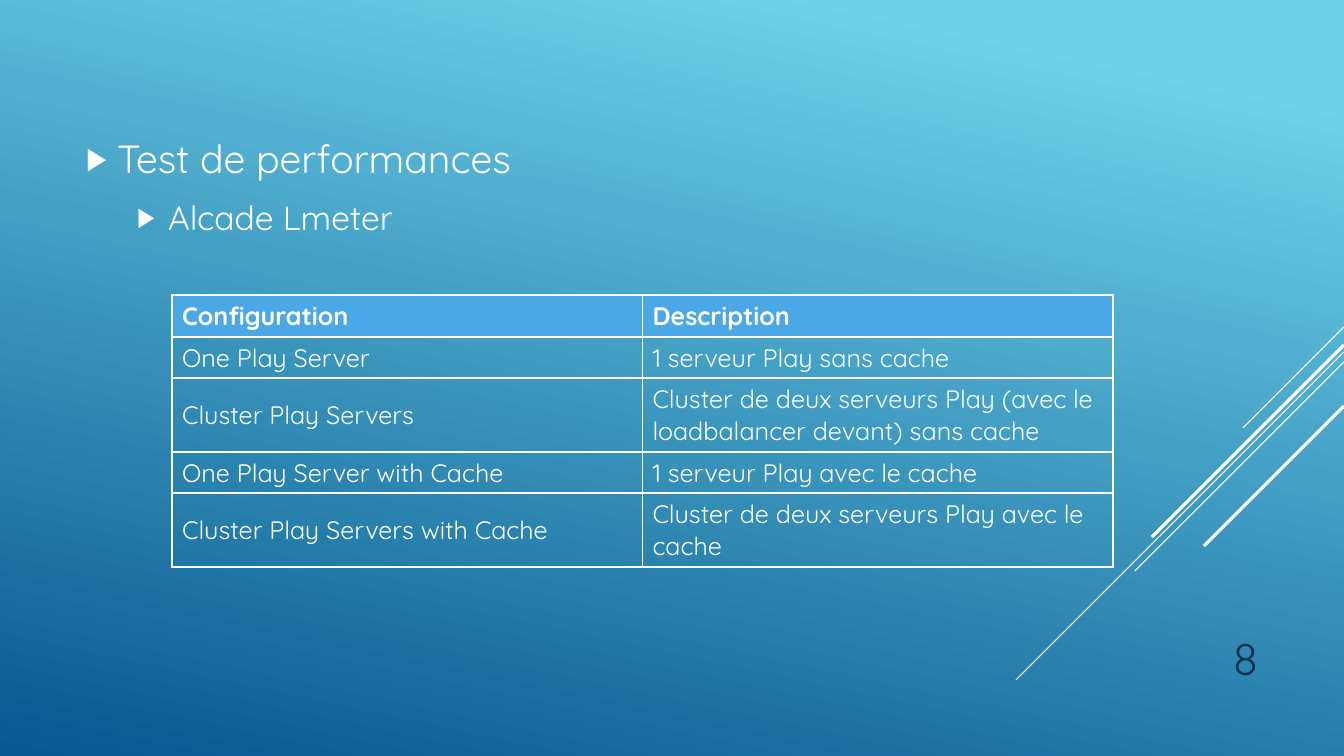
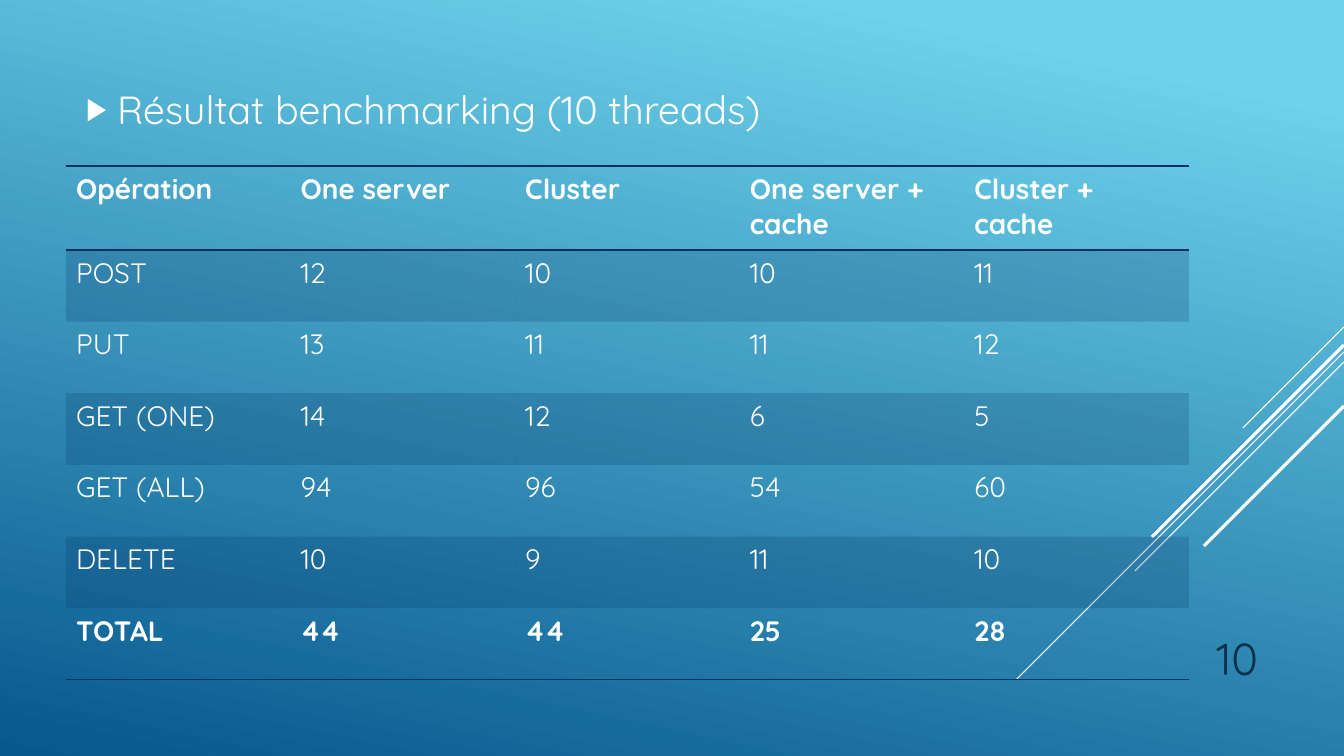
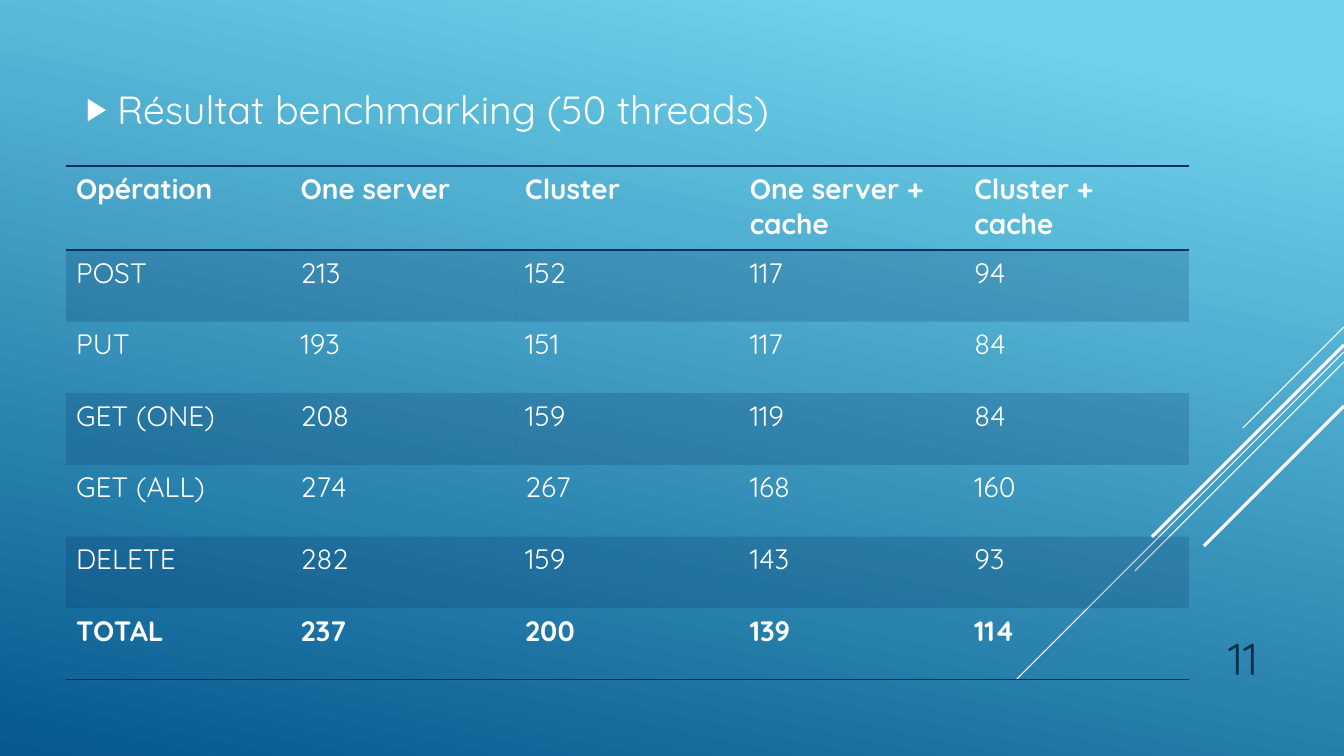
import pptx
import pptx.dml.color
import pptx.enum.shapes
import pptx.enum.text
import pptx.oxml
import pptx.oxml.ns
import pptx.util

WHITE, NAVY, INK, HEADER = "FFFFFF", "052F61", "0A304A", "4AA8E7"
SKY, DEEP = "6ED2EB", "06588E"
FONT = "Quicksand"
WIDTH, HEIGHT = 1344, 756
PLAIN_TABLE = "{2D5ABB26-0587-4C30-8999-92F81FD0307C}"
MIDDLE = pptx.enum.text.MSO_ANCHOR.MIDDLE
TOP = pptx.enum.text.MSO_ANCHOR.TOP
BOTTOM = pptx.enum.text.MSO_ANCHOR.BOTTOM
STREAKS = [(327, 101, 0.75), (352, 328, 0.75), (362, 209, 0.75),
           (345, 192, 2.25), (406, 140, 2.25)]
BULLETS = [(28, 31), (24, 82)]
HANGING = 31


def px(n):
    """Turn pixels into EMU."""
    return pptx.util.Emu(round(n * 914400 / 100.8))


def rgb(value):
    """Turn a hex string into a colour."""
    return pptx.dml.color.RGBColor.from_string(value)


def xml(tag, attrs="", inner=""):
    """Build one DrawingML element."""
    ns = pptx.oxml.ns.nsdecls("a")
    return pptx.oxml.parse_xml(f"<a:{tag} {ns} {attrs}>{inner}</a:{tag}>")


def style_runs(p, size, color=WHITE, bold=False):
    """Format every run of a paragraph."""
    for r in p.runs:
        r.font.name = FONT
        r.font.size = pptx.util.Pt(size)
        r.font.bold = bold
        r.font.color.rgb = rgb(color)


def set_background(master):
    """Give the master the blue gradient."""
    fill = master.background.fill
    fill.gradient()
    fill.gradient_angle = 360 - 102
    for stop, color, position in zip(fill.gradient_stops, (SKY, DEEP), (0.1, 1)):
        stop.color.rgb = rgb(color)
        stop.position = position


def add_streaks(s):
    """Draw the diagonal lines that start at the right edge."""
    for y, run, weight in STREAKS:
        line = s.shapes.add_connector(
            pptx.enum.shapes.MSO_CONNECTOR.STRAIGHT,
            px(WIDTH), px(y), px(WIDTH - run), px(y + run))
        line.line.color.rgb = rgb(WHITE)
        line.line.width = pptx.util.Pt(weight)
        line.element.spPr.append(xml("effectLst"))


def add_number(s, number, box):
    """Write the slide number at the lower right."""
    tf = s.shapes.add_textbox(*map(px, box)).text_frame
    tf.word_wrap = True
    tf.vertical_anchor = BOTTOM
    tf.text = str(number)
    p = tf.paragraphs[0]
    p.alignment = pptx.enum.text.PP_ALIGN.RIGHT
    style_runs(p, 32, INK)


def fill_body(body, box, lines):
    """Place the body and write one bullet per level."""
    body.left, body.top, body.width, body.height = map(px, box)
    tf = body.text_frame
    tf.text = "\n".join(lines)
    tf.word_wrap = True
    tf.auto_size = pptx.enum.text.MSO_AUTO_SIZE.NONE
    tf.vertical_anchor = MIDDLE
    for level, (p, (size, margin)) in enumerate(zip(tf.paragraphs, BULLETS)):
        p.level = level
        p.space_before = pptx.util.Pt(size * 0.2)
        p.space_after = pptx.util.Pt(6)
        style_runs(p, size)
        pPr = p._p.get_or_add_pPr()
        pPr.set("marL", str(px(margin)))
        pPr.set("indent", str(px(-HANGING)))
        pPr.append(xml("buClr", inner=f'<a:srgbClr val="{WHITE}"/>'))
        pPr.append(xml("buSzPct", 'val="80000"'))
        pPr.append(xml("buChar", 'char="▶"'))


def set_borders(cell, sides, color):
    """Draw one-point borders on the named sides of a cell."""
    tcPr = cell._tc.get_or_add_tcPr()
    for side in sides:
        tcPr.append(xml(
            f"ln{side}", 'w="12700"',
            f'<a:solidFill><a:srgbClr val="{color}"/></a:solidFill>'))


def set_fill(cell, color=None, alpha=100):
    """Fill a cell, or leave it clear when no colour is given."""
    if color is None:
        cell.fill.background()
        return
    cell.fill.solid()
    cell.fill.fore_color.rgb = rgb(color)
    if alpha < 100:
        for clr in cell._tc.tcPr.findall("a:solidFill/a:srgbClr", pptx.oxml.ns._nsmap):
            clr.append(xml("alpha", f'val="{alpha * 1000}"'))


def add_grid(s, box, rows, heights, size, anchor, format_cell):
    """Add a table with equal columns and format each cell."""
    columns = len(rows[0])
    table = s.shapes.add_table(len(rows), columns, *map(px, box)).table
    table.first_row = table.horz_banding = False
    table._tbl.tblPr[0].text = PLAIN_TABLE
    for column in table.columns:
        column.width = px(box[2] / columns)
    for i, (texts, height) in enumerate(zip(rows, heights)):
        table.rows[i].height = px(height)
        for cell, text in zip(table.rows[i].cells, texts):
            cell.text = str(text)
            cell.vertical_anchor = anchor
            bold = format_cell(cell, i, len(rows) - 1)
            style_runs(cell.text_frame.paragraphs[0], size, bold=bold)


def format_configuration(cell, row, last):
    """Frame a configuration cell and report whether it is bold."""
    set_borders(cell, "LRTB", WHITE)
    set_fill(cell, HEADER if row == 0 else None)
    return row == 0


def format_result(cell, row, last):
    """Rule and band a result cell and report whether it is bold."""
    set_borders(cell, {0: "TB", last: "B"}.get(row, ""), NAVY)
    set_fill(cell, NAVY if row % 2 else None, 20)
    return row in (0, last)


def start_slide(prs, number, body_height, lines):
    """Add a slide with its streaks, number and bullets."""
    s = prs.slides.add_slide(prs.slide_layouts[1])
    title = s.shapes.title.element
    title.getparent().remove(title)
    fill_body(s.placeholders[1], (76, 76, 940, body_height), lines)
    add_streaks(s)
    add_number(s, number, (1142, 615, 126, 74))
    return s


def configuration_slide(prs, number, lines, rows):
    """Build the slide that lists the tested configurations."""
    s = start_slide(prs, number, 220, lines)
    add_grid(s, (172, 295, 941, 272), rows, (42, 41, 74, 41, 74), 18,
             MIDDLE, format_configuration)


def result_slide(prs, number, threads, results):
    """Build a slide with the results for one number of threads."""
    s = start_slide(prs, number, 66, [f"Résultat benchmarking ({threads} threads)"])
    header = ["Opération", "One server", "Cluster", "One server + cache",
              "Cluster + cache"]
    names = ["POST", "PUT", "GET (ONE)", "GET (ALL)", "DELETE", "TOTAL"]
    rows = [header] + [[name, *values] for name, values in zip(names, results)]
    box = (66, 166, 1123, 514)
    top = 84
    heights = [top] + [(box[3] - top) / len(names)] * len(names)
    add_grid(s, box, rows, heights, 20, TOP, format_result)


prs = pptx.Presentation()
prs.slide_width, prs.slide_height = px(WIDTH), px(HEIGHT)
set_background(prs.slide_master)
configuration_slide(prs, 8, ["Test de performances", "Alcade Lmeter"], [
    ("Configuration", "Description"),
    ("One Play Server", "1 serveur Play sans cache"),
    ("Cluster Play Servers",
     "Cluster de deux serveurs Play (avec le loadbalancer devant) sans cache"),
    ("One Play Server with Cache", "1 serveur Play avec le cache"),
    ("Cluster Play Servers with Cache",
     "Cluster de deux serveurs Play avec le cache"),
])
result_slide(prs, 10, 10, [
    (12, 10, 10, 11), (13, 11, 11, 12), (14, 12, 6, 5),
    (94, 96, 54, 60), (10, 9, 11, 10), (44, 44, 25, 28),
])
result_slide(prs, 11, 50, [
    (213, 152, 117, 94), (193, 151, 117, 84), (208, 159, 119, 84),
    (274, 267, 168, 160), (282, 159, 143, 93), (237, 200, 139, 114),
])
prs.save("out.pptx")
